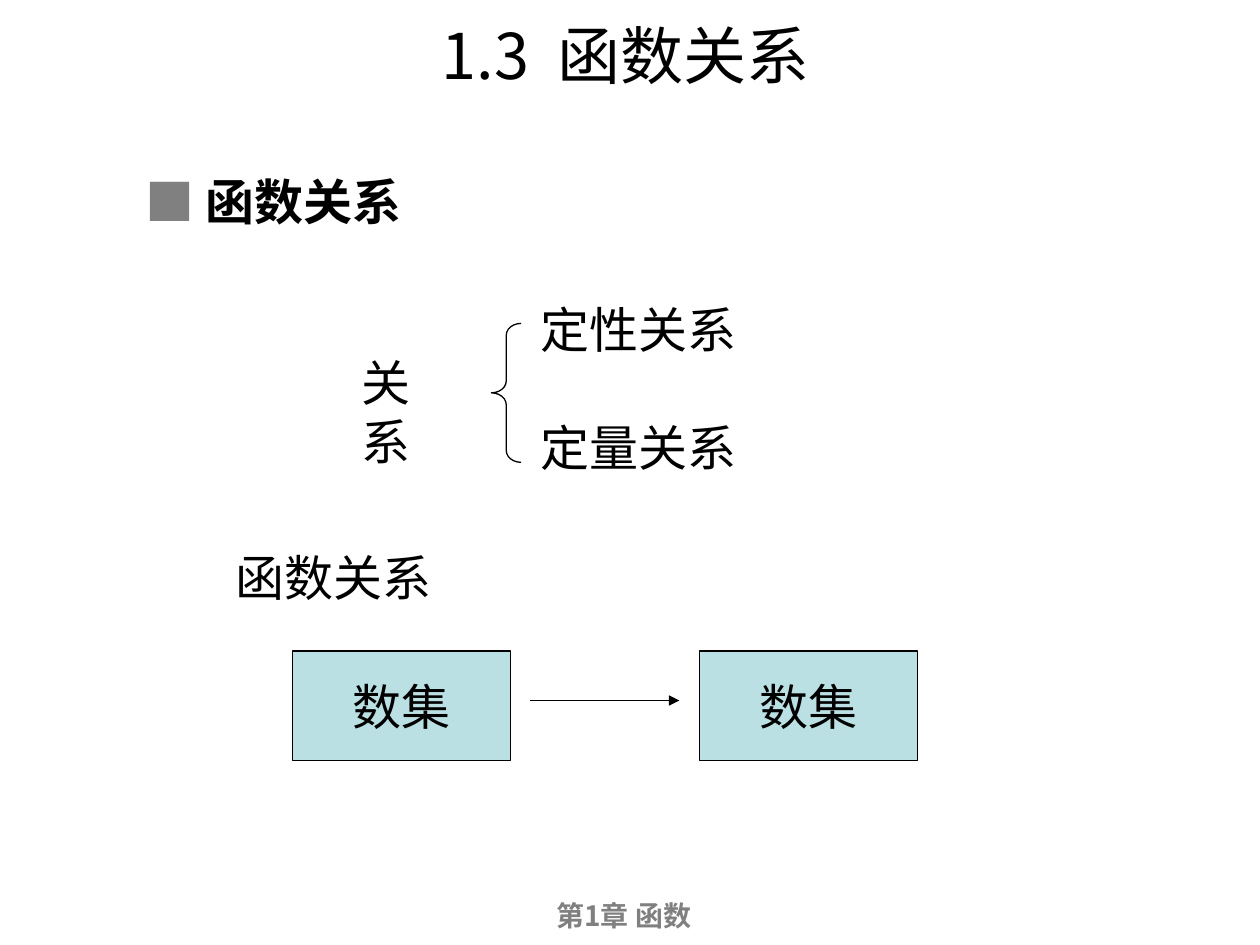
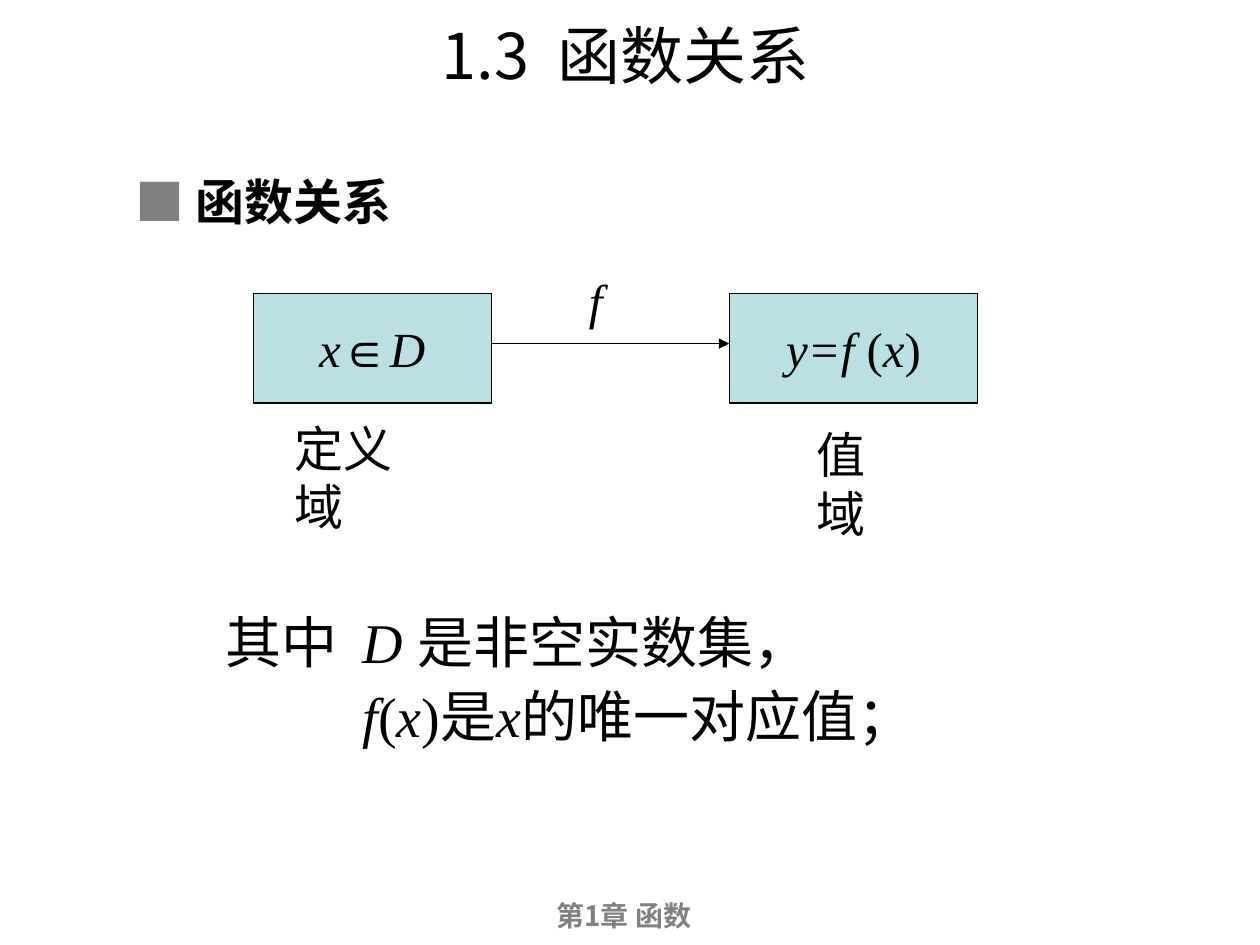
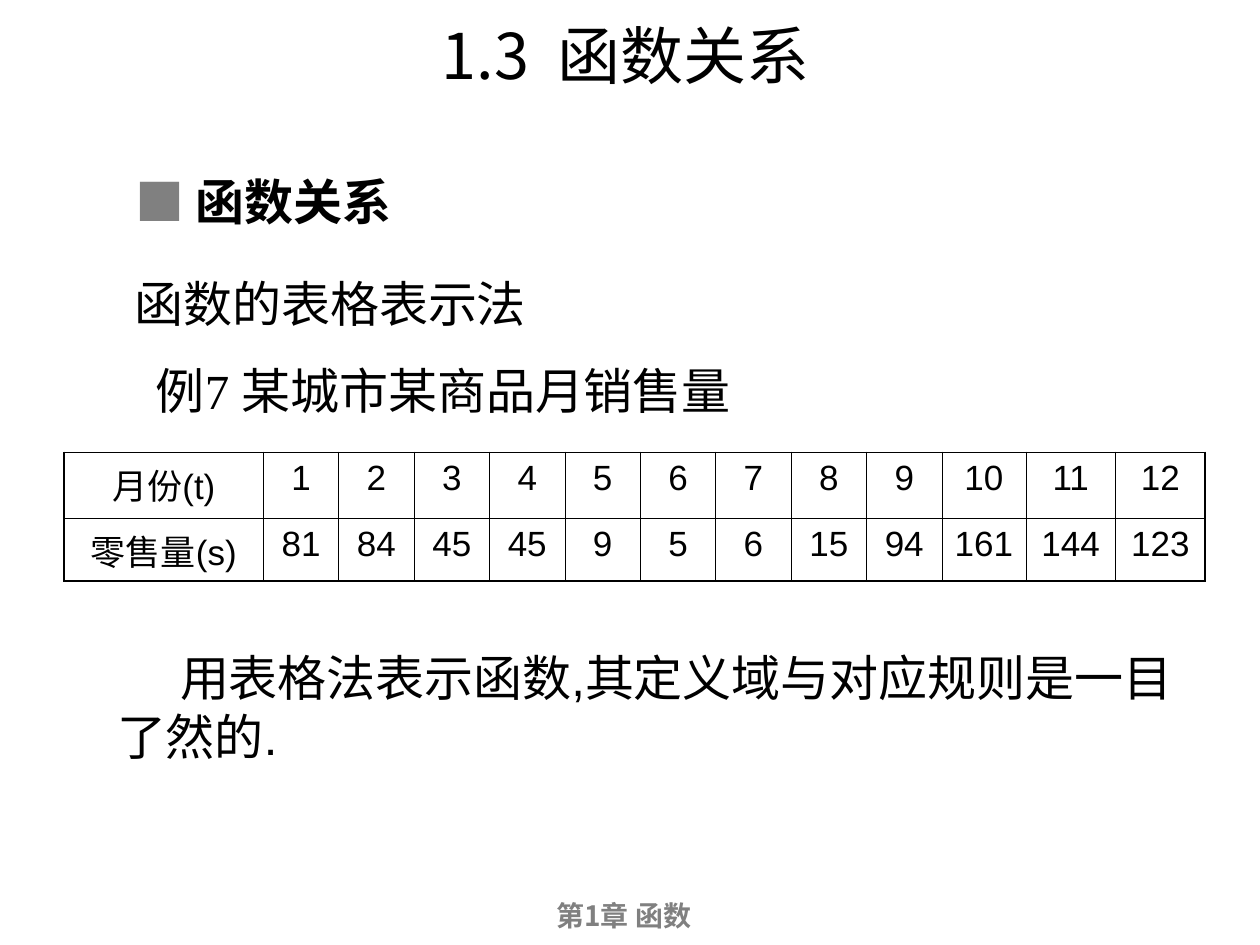
from dataclasses import dataclass

from lxml.etree import SubElement
from pptx import Presentation
from pptx.dml.color import RGBColor as RGB
from pptx.enum.shapes import MSO_CONNECTOR as LINK, MSO_SHAPE as SHAPE
from pptx.enum.text import MSO_ANCHOR as ANCHOR, PP_ALIGN as ALIGN
from pptx.oxml.ns import qn
from pptx.util import Pt


@dataclass(frozen=True)
class Theme:
    """Colours, fonts, type sizes and line widths shared by the slides."""
    ink: RGB = RGB(0, 0, 0)
    grey: RGB = RGB(0x80, 0x80, 0x80)
    panel: RGB = RGB(0xBB, 0xE0, 0xE3)
    serif: str = "Times New Roman"
    sans: str = "Arial"
    title_face: str = "Noto Sans CJK JP"
    footer_face: str = "Noto Sans CJK SC"
    title: float = 36
    body: float = 32
    text: float = 28
    cell: float = 20
    footer: float = 16
    line: float = 0.75
    frame: float = 1.08
    grid: float = 0.45


T = Theme()
SERIF = dict(name=T.serif, size=Pt(T.text))
SANS = dict(SERIF, name=T.sans)
ITALIC = dict(SERIF, italic=True)
BODY = dict(SERIF, size=Pt(T.body))
BODY_ITALIC = dict(BODY, italic=True)
CELL = dict(name=T.sans, size=Pt(T.cell))
TITLE = dict(name=T.title_face, size=Pt(T.title))
FOOTER = dict(name=T.footer_face, size=Pt(T.footer), bold=True)
MARK = dict(SANS, bold=True)
HEADING = dict(SERIF, bold=True)


def points(*lengths):
    """Turn numbers into lengths in points."""
    return [Pt(length) for length in lengths]


def apply(target, **values):
    """Set the given attributes on the target."""
    for key, value in values.items():
        setattr(target, key, value)


def write(paragraph, runs, color=T.ink, **layout):
    """Fill a paragraph with (text, format) runs."""
    apply(paragraph, **layout)
    for text, style in runs:
        run = paragraph.add_run()
        run.text = text
        apply(run.font, **style)
        run.font.color.rgb = color


def label(slide, box, runs, wrap=False, color=T.ink, **layout):
    """Add a text box with one paragraph and return its frame."""
    frame = slide.shapes.add_textbox(*points(*box)).text_frame
    frame.word_wrap = wrap
    write(frame.paragraphs[0], runs, color, **layout)
    return frame


def indent(paragraph, left, first=0, tab=None):
    """Set the left margin, first-line indent and tab stop of a paragraph."""
    properties = paragraph._p.get_or_add_pPr()
    properties.set("marL", str(Pt(left)))
    properties.set("indent", str(Pt(first)))
    if tab:
        stops = SubElement(properties, qn("a:tabLst"))
        SubElement(stops, qn("a:tab"), pos=str(Pt(tab)), algn="l")


def outline(shape):
    """Give a shape the thin dark outline without a shadow."""
    shape.shadow.inherit = False
    shape.line.color.rgb = T.ink
    shape.line.width = Pt(T.line)


def set_box(slide, box, runs):
    """Draw a filled rectangle that names a set."""
    panel = slide.shapes.add_shape(SHAPE.RECTANGLE, *points(*box))
    outline(panel)
    panel.fill.solid()
    panel.fill.fore_color.rgb = T.panel
    apply(panel.text_frame, word_wrap=False, vertical_anchor=ANCHOR.MIDDLE)
    write(panel.text_frame.paragraphs[0], runs, alignment=ALIGN.CENTER)


def arrow(slide, start, end, y):
    """Draw a horizontal arrow."""
    link = slide.shapes.add_connector(LINK.STRAIGHT, *points(start, y, end, y))
    link.line.color.rgb = T.ink
    link.line.width = Pt(T.line)
    SubElement(link.line._get_or_add_ln(), qn("a:tailEnd"), type="triangle")
    SubElement(link._element.spPr, qn("a:effectLst"))


def new_slide(deck, heading_left):
    """Add a slide with its title, section heading and footer."""
    slide = deck.slides.add_slide(deck.slide_layouts[5])
    title = slide.shapes.title
    left, top, width, height = points(24, 6, 667, 50)
    apply(title, left=left, top=top, width=width, height=height)
    title.text_frame.vertical_anchor = ANCHOR.TOP
    write(title.text_frame.paragraphs[0], [("1.3  函数关系", TITLE)],
          alignment=ALIGN.CENTER)
    label(slide, (23, 510, 667, 27), [("第1章 函数", FOOTER)], True, T.grey,
          alignment=ALIGN.CENTER)
    heading = label(slide, (heading_left, 94.3, 204, 41), [("■ ", MARK)], True, T.grey)
    write(heading.paragraphs[0], [("函数关系", HEADING)])
    return slide


def relation_tree(slide, box):
    """Split relations into two kinds with a brace."""
    left, top, width, height = box
    kinds = label(slide, (left + 102.3, top, width - 102.3, height), [("定性关系", SERIF)])
    write(kinds.add_paragraph(), [("定量关系", SERIF)], space_before=Pt(33.6))
    label(slide, (left, top + 30.2, 70, 41), [("关系", SERIF)])
    brace = slide.shapes.add_shape(
        SHAPE.LEFT_BRACE, *points(left + 81.4, top + 17, 17, 79.4))
    brace.adjustments[0] = 0.4
    brace.fill.background()
    outline(brace)


def number_sets(slide, box):
    """Link two equal set boxes with an arrow."""
    left, top, width, height = box
    panel_width, gap = 124.7, 11.4
    for x in (left, left + width - panel_width):
        set_box(slide, (x, top, panel_width, height), [("数集", SERIF)])
    arrow(slide, left + panel_width + gap, left + width - panel_width - gap, top + 28.3)


def mapping(slide, box):
    """Show the domain mapped by f onto the range."""
    left, top, width, height = box
    domain_width, range_width = 136, 142
    range_left = left + width - range_width
    set_box(slide, (left, top, domain_width, height),
            [("x", ITALIC), ("∈", SANS), ("D", ITALIC)])
    set_box(slide, (range_left, top, range_width, height),
            [("y=f ", ITALIC), ("(", SERIF), ("x", ITALIC), (")", SERIF)])
    arrow(slide, left + domain_width, range_left, top + 28.5)
    label(slide, (left + 184.3, top - 16.6, 22.3, 41), [("f", ITALIC)],
          alignment=ALIGN.RIGHT)
    label(slide, (left + 16.6, top + 67.6, 98, 41), [("定义域", SANS)])
    label(slide, (left + 314.6, top + 71.2, 70, 41), [("值域", SANS)])


def conditions(slide, box):
    """State what D and f(x) stand for."""
    frame = slide.shapes.add_textbox(*points(*box)).text_frame
    frame.word_wrap = True
    domain, value = frame.paragraphs[0], frame.add_paragraph()
    indent(domain, 6.5, -6.5, tab=72)
    indent(value, 78.5)
    write(domain, [("其中\t", BODY), ("D ", BODY_ITALIC), ("是非空实数集，", BODY)],
          line_spacing=0.9)
    write(value, [("f", BODY_ITALIC), ("(", BODY), ("x", BODY_ITALIC), (")是", BODY),
                  ("x", BODY_ITALIC), ("的唯一对应值；", BODY)],
          line_spacing=0.9, space_before=Pt(8))


def cell_borders(cell, edges):
    """Draw the four borders of a cell, heavier on the table's frame."""
    properties = cell._tc.get_or_add_tcPr()
    for side, on_frame in edges.items():
        width = Pt(T.frame if on_frame else T.grid)
        line = SubElement(properties, qn(f"a:{side}"), w=str(width))
        SubElement(SubElement(line, qn("a:solidFill")), qn("a:srgbClr"), val=str(T.ink))


def sales_table(slide, box):
    """Tabulate monthly sales."""
    rows = [["月份(t)", *range(1, 13)],
            ["零售量(s)", 81, 84, 45, 45, 9, 5, 6, 15, 94, 161, 144, 123]]
    widths = [113.8] + [43.1] * 9 + [48, 51.2, 51.2]
    last_row, last_column = len(rows) - 1, len(widths) - 1
    table = slide.shapes.add_table(len(rows), len(widths), *points(*box)).table
    apply(table, first_row=False, horz_banding=False)
    for column, width in zip(table.columns, widths):
        column.width = Pt(width)
    for row, height in zip(table.rows, (37.6, 36)):
        row.height = Pt(height)
    for r, values in enumerate(rows):
        for c, value in enumerate(values):
            cell = table.cell(r, c)
            cell_borders(cell, dict(lnL=c == 0, lnR=c == last_column,
                                    lnT=r == 0, lnB=r == last_row))
            cell.fill.background()
            write(cell.text_frame.paragraphs[0], [(str(value), CELL)],
                  alignment=ALIGN.CENTER)


def relation_slide(deck):
    """Introduce relations between sets of numbers."""
    slide = new_slide(deck, 76.3)
    relation_tree(slide, (199.4, 167.8, 228.3, 108))
    label(slide, (127.4, 309.6, 126, 41), [("函数关系", SERIF)])
    number_sets(slide, (167, 372, 357.3, 62.6))


def mapping_slide(deck):
    """Define domain and range."""
    slide = new_slide(deck, 70.5)
    mapping(slide, (144.7, 167.8, 414, 62.6))
    conditions(slide, (121.7, 347.8, 556, 85))


def table_slide(deck):
    """Show a function given by a table."""
    slide = new_slide(deck, 70.5)
    label(slide, (69.8, 152.6, 238, 41), [("函数的表格表示法", SERIF)])
    label(slide, (82, 202.3, 590, 41), [("例7 某城市某商品月销售量", SERIF)], True)
    sales_table(slide, (36.7, 258.5, 652.1, 73.6))
    remark = label(slide, (59.8, 366.5, 621.4, 75),
                   [("用表格法表示函数,其定义域与对应规则是一目了然的.", SANS)], True)
    indent(remark.paragraphs[0], 0, 36)


def main():
    """Build the three slides and save them."""
    deck = Presentation()
    apply(deck, slide_width=Pt(720), slide_height=Pt(540))
    for build in (relation_slide, mapping_slide, table_slide):
        build(deck)
    deck.save("out.pptx")


if __name__ == "__main__":
    main()
